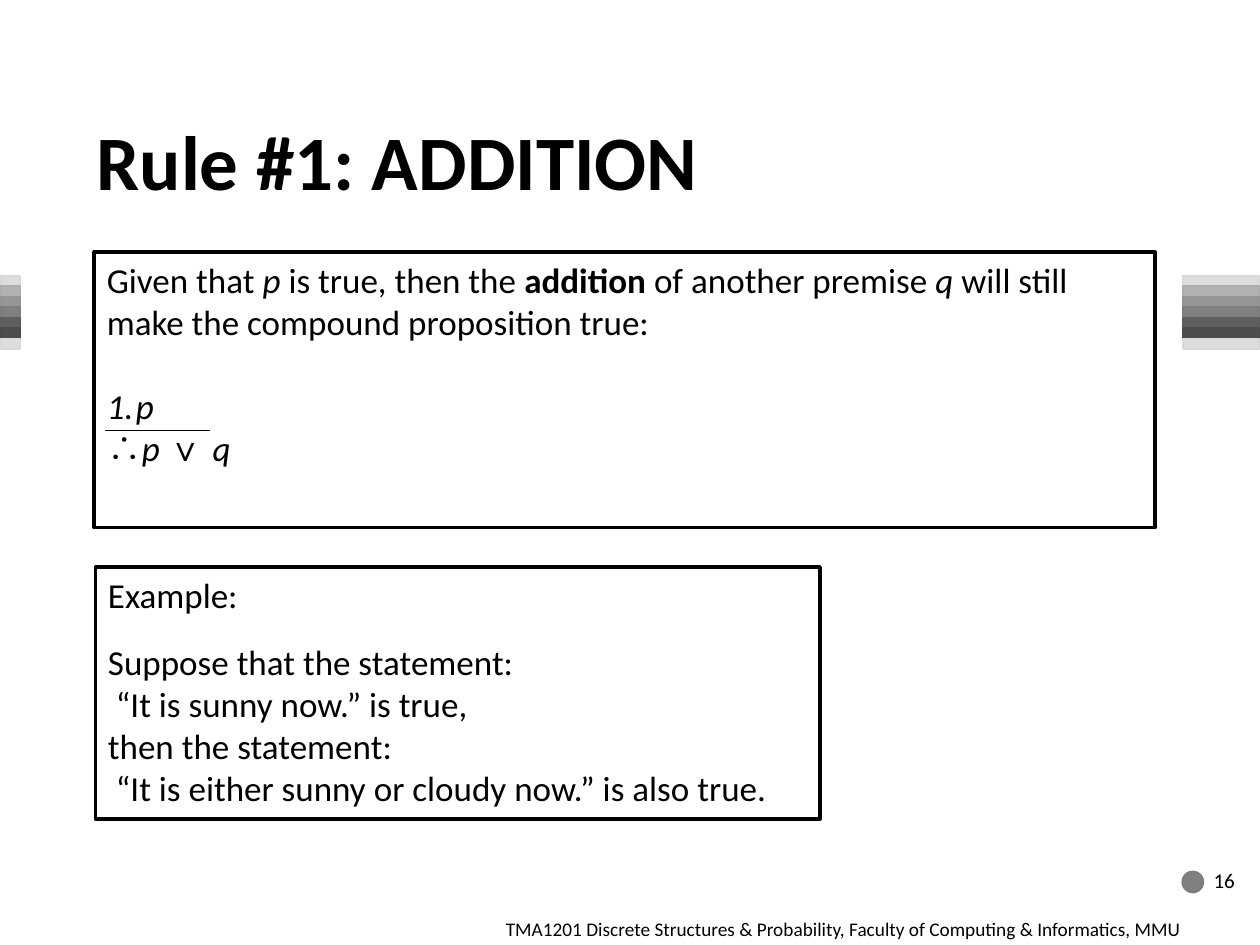
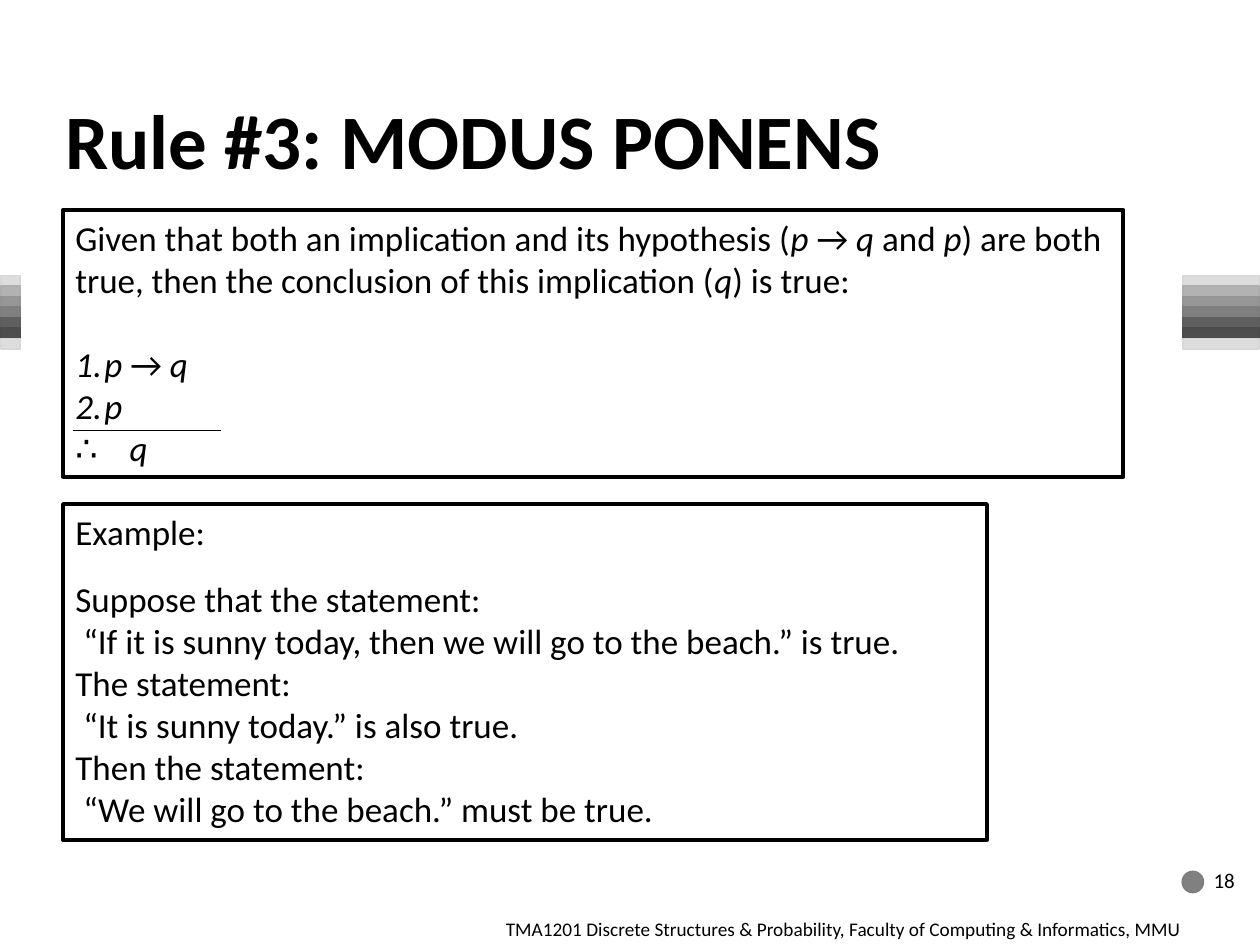
from lxml import etree
from pptx import Presentation
from pptx.dml.color import RGBColor
from pptx.enum.shapes import MSO_CONNECTOR, MSO_SHAPE
from pptx.enum.text import MSO_ANCHOR, MSO_AUTO_SIZE, PP_ALIGN
from pptx.oxml.ns import qn
from pptx.util import Inches, Pt

RECT, OVAL = MSO_SHAPE.RECTANGLE, MSO_SHAPE.OVAL
STRAIGHT = MSO_CONNECTOR.STRAIGHT
TOP, MIDDLE, LEFT = MSO_ANCHOR.TOP, MSO_ANCHOR.MIDDLE, PP_ALIGN.LEFT
NO_FIT = MSO_AUTO_SIZE.NONE

COLOURS = {
    "text": "000000", "dot": "808080",
    "band1": "DDDDDD", "band2": "B2B2B2", "band3": "969696", "band4": "808080",
    "band5": "5F5F5F", "band6": "4D4D4D", "band7": "DDDDDD",
}
FONT, SYMBOL_FONT = "Calibri", "Arial"
FOOTER = "TMA1201 Discrete Structures & Probability, Faculty of Computing & Informatics, MMU"

# Grid of 120 columns by 90 rows
SLIDE_W, SLIDE_H = Inches(10), Inches(7.5)
COL, ROW = SLIDE_W / 120, SLIDE_H / 90
HANG = Inches(0.23)


def grid(left, top, width, height):
    return int(left * COL), int(top * ROW), int(width * COL), int(height * ROW)


def rgb(name):
    return RGBColor.from_string(COLOURS[name])


def format_run(r, size, style=""):
    """Style letters: b bold, i italic, s symbol font."""
    r.font.name = SYMBOL_FONT if "s" in style else FONT
    r.font.size = Pt(size)
    r.font.bold = "b" in style
    r.font.italic = "i" in style
    r.font.color.rgb = rgb("text")


def add_text(s, box, text, size, anchor=TOP):
    tf = s.shapes.add_textbox(*grid(*box)).text_frame
    tf.word_wrap, tf.vertical_anchor = True, anchor
    tf.text = text
    format_run(tf.paragraphs[0].runs[0], size)


def add_solid(s, kind, box, colour):
    """Filled shape with a slightly darker outline."""
    sp = s.shapes.add_shape(kind, *grid(*box))
    sp.shadow.inherit = False
    sp.fill.solid()
    sp.fill.fore_color.rgb = rgb(colour)
    sp.line.color.rgb = RGBColor(*(int(c * 0.98) for c in rgb(colour)))
    sp.line.width = Pt(1)


def add_bands(s, left, width, top=26.25):
    for i in range(7):
        add_solid(s, RECT, (left, top + i, width, 1), f"band{i + 1}")


def add_frame(s, box, weight):
    """Outlined text box; returns its text frame."""
    sp = s.shapes.add_shape(RECT, *grid(*box))
    sp.shadow.inherit = False
    sp.fill.background()
    sp.line.color.rgb = rgb("text")
    sp.line.width = Pt(weight)
    tf = sp.text_frame
    tf.word_wrap, tf.auto_size, tf.vertical_anchor = True, NO_FIT, TOP
    return tf


def set_marker(p, marker):
    """Number, bullet sign or tab stop at the start of a paragraph."""
    pPr = p._p.get_or_add_pPr()
    if marker == "tab":
        tabs = etree.SubElement(pPr, qn("a:tabLst"))
        etree.SubElement(tabs, qn("a:tab"), pos=str(Inches(0.43)), algn="l")
        return
    pPr.set("marL", str(HANG))
    pPr.set("indent", str(-HANG))
    if marker == "number":
        etree.SubElement(pPr, qn("a:buAutoNum"), type="arabicPeriod")
    else:
        etree.SubElement(pPr, qn("a:buFont"), typeface=SYMBOL_FONT)
        etree.SubElement(pPr, qn("a:buChar"), char=marker)


def fill_paragraphs(tf, paragraphs, gap):
    """Paragraphs are (marker, runs); the second one stands off by gap."""
    for i, (marker, runs) in enumerate(paragraphs):
        p = tf.add_paragraph() if i else tf.paragraphs[0]
        if marker:
            set_marker(p, marker)
        p.alignment = LEFT
        if i == 1:
            p.space_before = Pt(gap)
        for text, style in runs:
            r = p.add_run()
            r.text = text
            format_run(r, 20, style)


def add_rule(s, box, paragraphs, line_width, line_row=41):
    """Rule box with a line between premises and conclusion."""
    fill_paragraphs(add_frame(s, box, 2.25), paragraphs, gap=24)
    x, y, w, _ = grid(box[0] + 1, line_row, line_width, 0)
    line = s.shapes.add_connector(STRAIGHT, x, y, x + w, y)
    line.line.color.rgb = rgb("text")
    line.line.width = Pt(1)
    etree.SubElement(line._element.spPr, qn("a:effectLst"))


def add_example(s, box, lines):
    paragraphs = [("", [(text, "")]) for text in ["Example:"] + lines]
    fill_paragraphs(add_frame(s, box, 2), paragraphs, gap=14.5)


def add_title(s, box, text):
    title = s.shapes.title
    title.left, title.top, title.width, title.height = grid(*box)
    tf = title.text_frame
    tf.auto_size, tf.vertical_anchor = NO_FIT, MIDDLE
    tf.text = text
    p = tf.paragraphs[0]
    p.alignment = LEFT
    format_run(p.runs[0], 44, "b")


def rule_slide(prs, number, title, title_at, rule_box, rule, line_width,
               example_box, example):
    s = prs.slides.add_slide(prs.slide_layouts[5])
    # Side bands, page dot and footer
    add_bands(s, 0.1, 1.8)
    add_bands(s, 112.7, 7.2)
    add_solid(s, OVAL, (112.6, 83, 2, 2), "dot")
    add_title(s, (*title_at, 108, 15), title)
    add_text(s, (47, 86.75, 73, 3.25), FOOTER, 11)
    add_text(s, (114.4, 80.8, 5.6, 6), str(number), 12, MIDDLE)
    # Content
    add_rule(s, rule_box, rule, line_width)
    add_example(s, example_box, example)


ADDITION = [
    ("", [("Given that ", ""), ("p", "i"), (" is true, then the ", ""),
          ("addition", "b"), (" of another premise ", ""), ("q ", "i"),
          ("will still make the compound proposition true:", "")]),
    ("number", [("p", "i")]),
    ("∴", [("p ", "i"), ("∨ ", "s"), ("q", "i")]),
]
MODUS_PONENS = [
    ("", [("Given that both an implication and its hypothesis (", ""),
          ("p ", "i"), ("→", ""), (" q ", "i"), ("and ", ""), ("p", "i"),
          (") are both true, then the conclusion of this implication (", ""),
          ("q", "i"), (") is true:", "")]),
    ("number", [("p ", "i"), ("→ ", ""), ("q", "i")]),
    ("number", [("p", "i")]),
    ("tab", [("∴\t", ""), ("q", "i")]),
]


def main():
    prs = Presentation()
    prs.slide_width, prs.slide_height = SLIDE_W, SLIDE_H
    rule_slide(
        prs, 16, "Rule #1: ADDITION", (8, 7.7),
        (9, 24, 101, 26.25), ADDITION, 10,
        (9.1, 54, 69, 24),
        ["Suppose that the statement:",
         " “It is sunny now.” is true,",
         "then the statement:",
         " “It is either sunny or cloudy now.” is also true."])
    rule_slide(
        prs, 18, "Rule #3: MODUS PONENS", (5, 5.7),
        (6, 20, 101, 25.4), MODUS_PONENS, 14,
        (6, 48, 88, 32),
        ["Suppose that the statement:",
         " “If it is sunny today, then we will go to the beach.” is true.",
         "The statement:",
         " “It is sunny today.” is also true.",
         "Then the statement:",
         " “We will go to the beach.” must be true."])
    prs.save("out.pptx")


if __name__ == "__main__":
    main()
